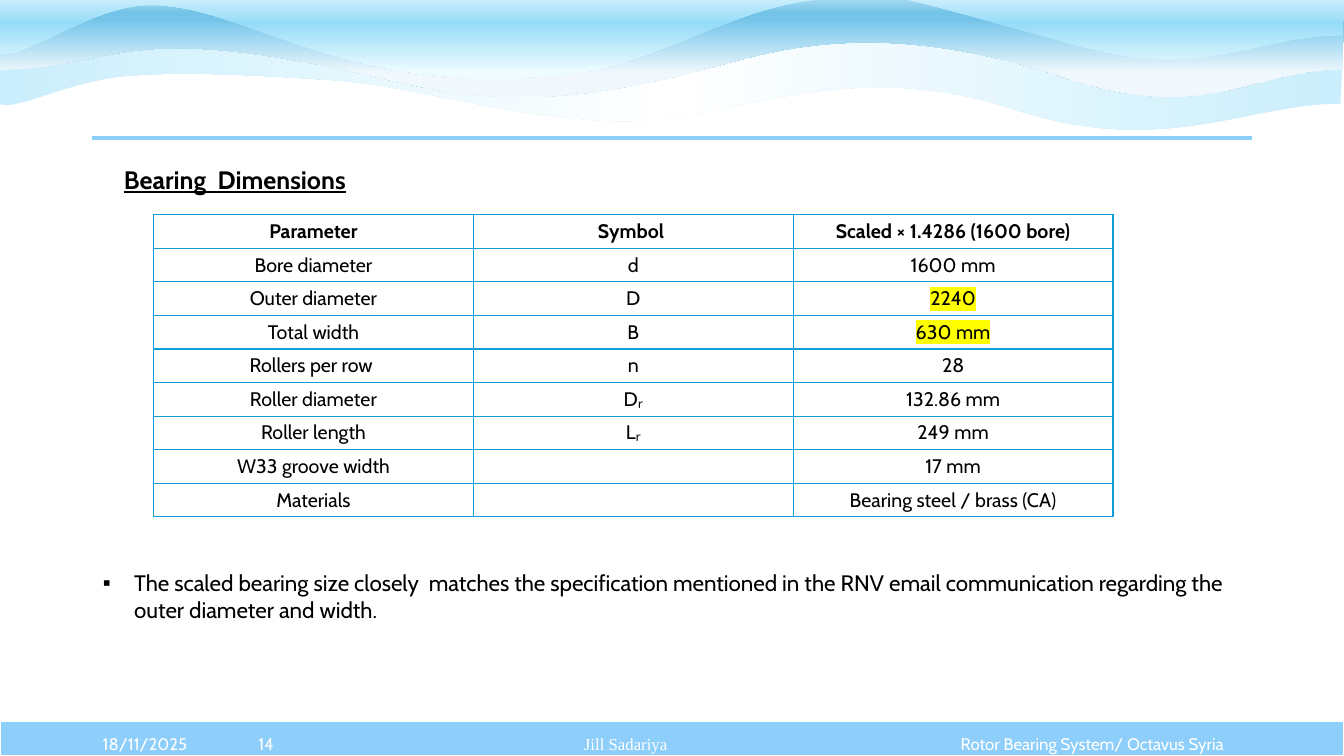
from lxml.etree import SubElement
from pptx import Presentation
from pptx.dml.color import RGBColor
from pptx.enum.shapes import MSO_CONNECTOR, MSO_SHAPE
from pptx.enum.text import MSO_ANCHOR, MSO_AUTO_SIZE, PP_ALIGN
from pptx.oxml.ns import qn
from pptx.util import Cm, Pt

WIDTH, HEIGHT = 33.87, 19.05
SKY, TABLE_BLUE, BLACK, WHITE, YELLOW = "8ECEFA", "0F9ED5", "000000", "FFFFFF", "FFFF00"

# Each wave: top edge, start point, curves (two controls and an end), gradient, angle
WAVES = [
    (0.76, (33.78, 2.62),
     [(31.42, 2.59, 29.26, 4.04, 25.37, 2.69), (21.01, 1.37, 18.31, 3.15, 15.49, 3.05),
      (12.67, 2.95, 10.69, 2.21, 8.51, 2.03), (6.32, 1.88, 4.65, 1.8, 3.23, 1.91),
      (1.8, 2.01, 0.36, 2.82, 0, 2.62)],
     [(0, "CAEEFB"), (50, "FFFFFF"), (100, "CAEEFB")], 0),
    (0, (33.83, 1.75),
     [(31.47, 1.75, 30.38, 3.23, 26.52, 1.85), (22.12, 0.48, 19.63, 1.24, 17.93, 1.7),
      (13.41, 2.9, 11.66, 2.46, 8.79, 1.78), (2.87, 0.53, 2.92, 1.75, 0, 1.75)],
     [(0, "A2D8F0"), (17, "74C4E9"), (26, "74C4E9"), (100, "F0F8FD")], 270),
    (0, (33.83, 0.89),
     [(31.47, 0.89, 30.38, 2.18, 26.52, 0.97), (22.15, -0.23, 22.63, -0.18, 20.65, 0),
      (18.67, 0.1, 16.59, 1.57, 14.63, 1.83), (12.65, 2.08, 10.77, 2.01, 8.81, 1.52),
      (6.55, 0.91, 5.26, 0.13, 3.81, 0.13), (2.34, 0.1, 0.56, 1.55, 0, 1.35)],
     [(0, "C8EDFB"), (32, "96DCF8"), (100, "EFFCFF")], 270),
]

DIMENSIONS = [
    ("Parameter", "Symbol ", "Scaled × 1.4286 (1600 bore)"),
    ("Bore diameter", "d", "1600 mm"),
    ("Outer diameter", "D", "2240"),
    ("Total width", "B", "630 mm"),
    ("Rollers per row ", "n", "28"),
    ("Roller diameter", "Dᵣ", "132.86 mm"),
    ("Roller length", "Lᵣ", "249 mm"),
    ("W33 groove width", "", "17 mm"),
    ("Materials", "", "Bearing steel / brass (CA)"),
]
HIGHLIGHTED = {"2240", "630 mm"}


def color(code):
    return RGBColor.from_string(code)


def place(shape, left, top, width, height):
    shape.left, shape.top, shape.width, shape.height = map(Cm, (left, top, width, height))


def add_span(para, text, size, code=BLACK, font="Cabin", bold=False):
    span = para.add_run()
    span.text = text
    span.font.size, span.font.name, span.font.bold = Pt(size), font, bold
    span.font.color.rgb = color(code)
    return span


def prepare_frame(frame, anchor):
    frame.word_wrap = True
    frame.auto_size = MSO_AUTO_SIZE.NONE
    frame.vertical_anchor = anchor
    frame.margin_left = frame.margin_right = Cm(0.25)
    frame.margin_top = frame.margin_bottom = Cm(0.13)
    para = frame.paragraphs[0]
    para.line_spacing, para.space_before = 1.0, Pt(0)
    return para


def bend_segments(shape, curves):
    """Turn the first straight segments of an outline into cubic curves."""
    segments = list(shape._element.spPr.iter(qn("a:lnTo")))
    for segment, curve in zip(segments, curves):
        segment.tag_name = None
        bend = SubElement(segment.getparent(), qn("a:cubicBezTo"))
        for x, y in zip(curve[::2], curve[1::2]):
            SubElement(bend, qn("a:pt"), x=str(Cm(x) - shape.left), y=str(Cm(y) - shape.top))
        segment.getparent().replace(segment, bend)


def add_wave(page, top, start, curves, stops, angle):
    points = [start] + [curve[4:] for curve in curves] + [(0, top), (WIDTH, top)]
    corners = [(Cm(x), Cm(y)) for x, y in points]
    builder = page.shapes.build_freeform(*corners[0], scale=1.0)
    builder.add_line_segments(corners[1:], close=True)
    wave = builder.convert_to_shape()
    bend_segments(wave, curves)
    wave.shadow.inherit = False
    wave.line.fill.background()
    wave.fill.gradient()
    wave.fill.gradient_angle = angle
    stop_list = wave._element.spPr.find(".//" + qn("a:gsLst"))
    stop_list.clear()
    for percent, code in stops:
        stop = SubElement(stop_list, qn("a:gs"), pos=str(percent * 1000))
        SubElement(stop, qn("a:srgbClr"), val=code)


def add_header(page, left, top, width):
    for wave in WAVES:
        add_wave(page, *wave)
    # Rule below the waves
    rule = page.shapes.add_connector(
        MSO_CONNECTOR.STRAIGHT, Cm(left), Cm(top), Cm(left + width), Cm(top))
    rule.line.color.rgb = color(SKY)
    rule.line.width = Pt(3)
    SubElement(rule._element.spPr, qn("a:effectLst"))


def add_footer(page, left, top, width, height):
    bar = page.shapes.add_shape(
        MSO_SHAPE.RECTANGLE, Cm(left), Cm(top), Cm(width), Cm(height))
    bar.shadow.inherit = False
    bar.fill.solid()
    bar.fill.fore_color.rgb = color(SKY)
    bar.line.color.rgb = color(WHITE)
    bar.line.width = Pt(1.5)
    # Date, page number, author and subject
    entries = [
        (2.34, 3.1, "18/11/2025", "Cabin", PP_ALIGN.LEFT),
        (5.41, 2.59, "14", "Cabin", PP_ALIGN.CENTER),
        (8, 15.54, "Jill Sadariya", "Times New Roman", PP_ALIGN.CENTER),
        (23.62, 7.82, "Rotor Bearing System/ Octavus Syria", "Cabin", PP_ALIGN.CENTER),
    ]
    for offset, span_width, text, font, align in entries:
        box = page.shapes.add_textbox(
            Cm(left + offset), Cm(top + 0.29), Cm(span_width), Cm(0.6))
        para = prepare_frame(box.text_frame, MSO_ANCHOR.MIDDLE)
        box.text_frame.margin_top = box.text_frame.margin_bottom = 0
        para.alignment = align
        add_span(para, text, 12, WHITE, font)


def add_title(page, left, top, width, height):
    title = page.shapes.title
    place(title, left, top, width, height)
    para = prepare_frame(title.text_frame, MSO_ANCHOR.TOP)
    para.alignment = PP_ALIGN.LEFT
    add_span(para, "Bearing  Dimensions", 18, bold=True).font.underline = True


def add_borders(cell):
    properties = cell._tc.get_or_add_tcPr()
    for index, side in enumerate(("lnL", "lnR", "lnT", "lnB")):
        line = SubElement(properties, qn("a:" + side), w=str(Pt(1)))
        fill = SubElement(line, qn("a:solidFill"))
        SubElement(fill, qn("a:srgbClr"), val=TABLE_BLUE)
        properties.insert(index, line)


def add_dimension_table(page, left, top, width, height):
    rows, columns = len(DIMENSIONS), len(DIMENSIONS[0])
    table = page.shapes.add_table(
        rows, columns, Cm(left), Cm(top), Cm(width), Cm(height)).table
    for row_index, values in enumerate(DIMENSIONS):
        for column_index, text in enumerate(values):
            cell = table.cell(row_index, column_index)
            cell.fill.background()
            add_borders(cell)
            cell.vertical_anchor = MSO_ANCHOR.MIDDLE
            cell.margin_top = cell.margin_bottom = Cm(0.1)
            para = cell.text_frame.paragraphs[0]
            para.alignment = PP_ALIGN.CENTER
            if not text:
                para.font.size = Pt(14)
                continue
            span = add_span(para, text, 14, bold=row_index == 0)
            if text in HIGHLIGHTED:
                properties = span._r.get_or_add_rPr()
                highlight = SubElement(properties, qn("a:highlight"))
                SubElement(highlight, qn("a:srgbClr"), val=YELLOW)
                properties.find(qn("a:solidFill")).addnext(highlight)


def add_remark(page, left, top, width, height):
    body = page.placeholders[1]
    place(body, left, top, width, height)
    para = prepare_frame(body.text_frame, MSO_ANCHOR.TOP)
    para.alignment = PP_ALIGN.LEFT
    properties = para._p.get_or_add_pPr()
    properties.set("marL", str(Cm(0.79)))
    properties.set("indent", str(-Cm(0.79)))
    SubElement(properties, qn("a:buChar"), char="▪")
    add_span(para, "The scaled bearing size closely  matches the specification mentioned "
             "in the RNV email communication regarding the outer diameter and width.", 16)


def main():
    deck = Presentation()
    deck.slide_width, deck.slide_height = Cm(WIDTH), Cm(HEIGHT)
    page = deck.slides.add_slide(deck.slide_layouts[1])
    add_header(page, 2.33, 3.48, 29.21)
    add_footer(page, 0, 18.16, WIDTH, HEIGHT - 18.16)
    add_title(page, 2.87, 4.01, 17.04, 1.02)
    add_dimension_table(page, 3.87, 5.41, 24.18, 7.62)
    add_remark(page, 2.34, 14.22, 28.98, 1.63)
    deck.save("out.pptx")


if __name__ == "__main__":
    main()
